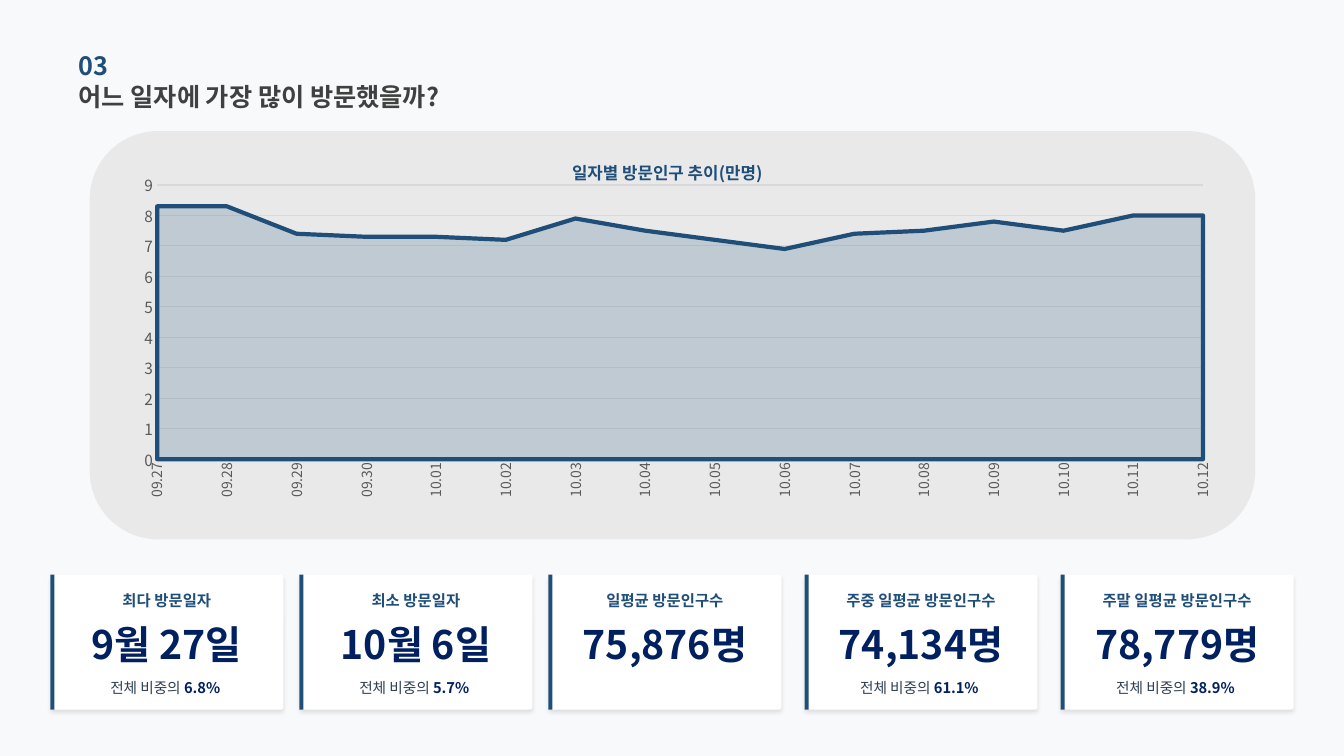
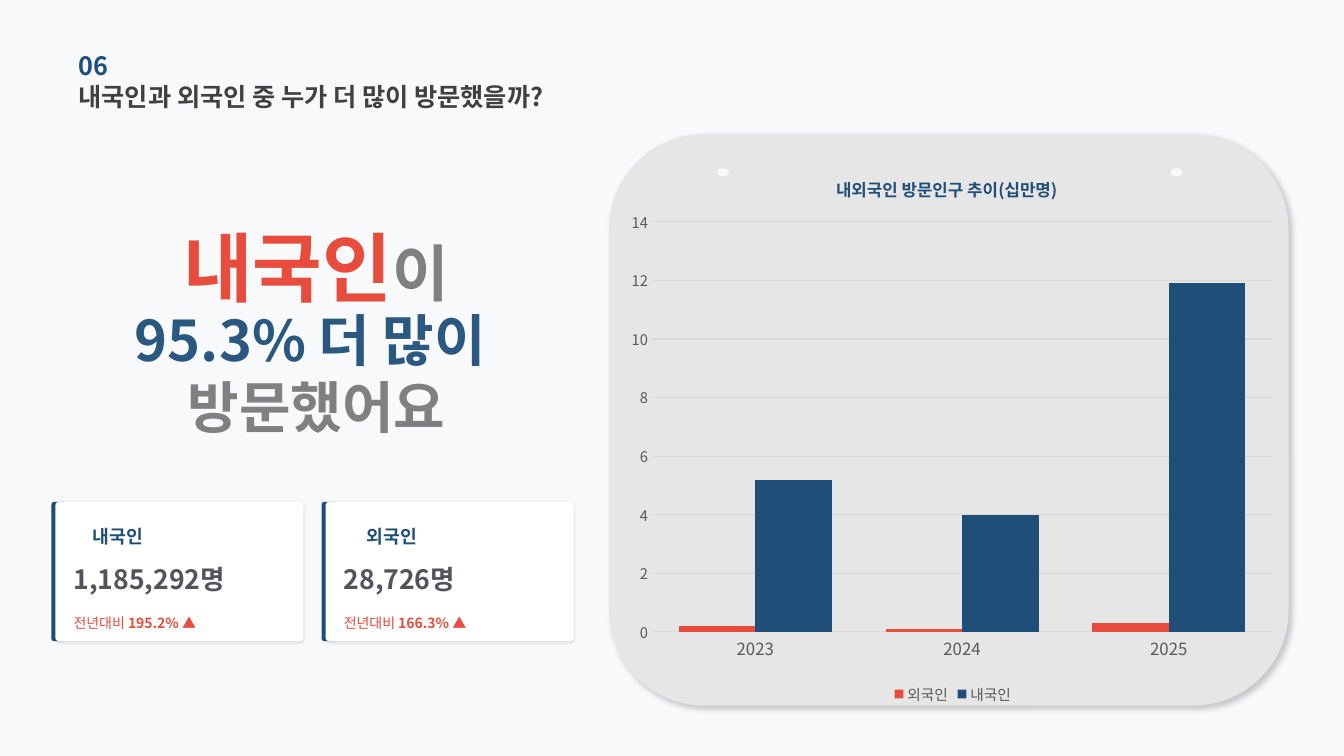
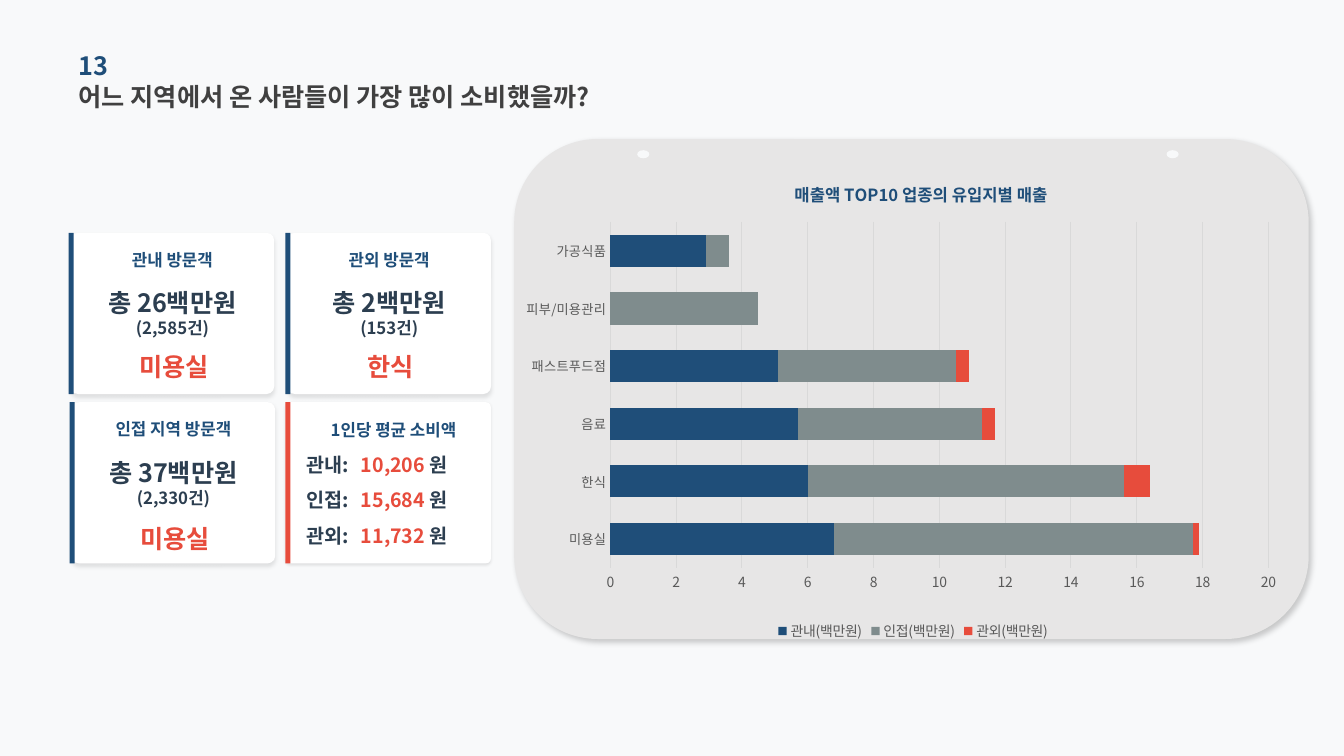
"""Build three festival-visitor report slides with headline cards and charts."""
from lxml import etree
from pptx import Presentation
from pptx.chart.data import CategoryChartData
from pptx.dml.color import RGBColor
from pptx.enum.chart import XL_CHART_TYPE, XL_LEGEND_POSITION, XL_TICK_MARK
from pptx.enum.shapes import MSO_SHAPE
from pptx.enum.text import MSO_ANCHOR, PP_ALIGN
from pptx.oxml.ns import qn
from pptx.util import Inches, Pt

FONT = "Noto Sans CJK KR"
BACKGROUND = RGBColor(0xF8, 0xF9, 0xFA)
WHITE = RGBColor(0xFF, 0xFF, 0xFF)
NAVY = RGBColor(0x1F, 0x4E, 0x79)
DEEP_NAVY = RGBColor(0x00, 0x20, 0x60)
STEEL = RGBColor(0x2B, 0x58, 0x80)
SLATE = RGBColor(0x2C, 0x3E, 0x50)
RED = RGBColor(0xE7, 0x4C, 0x3C)
CHARCOAL = RGBColor(0x40, 0x40, 0x40)
GRAPHITE = RGBColor(0x51, 0x54, 0x5A)
AXIS_GRAY = RGBColor(0x59, 0x59, 0x59)
GRAY = RGBColor(0x80, 0x80, 0x80)
TEAL_GRAY = RGBColor(0x7F, 0x8C, 0x8D)
GRID_GRAY = RGBColor(0xD9, 0xD9, 0xD9)
PANEL_GRAY = RGBColor(0xE7, 0xE6, 0xE6)
PANEL_DARK = RGBColor(0xD0, 0xCE, 0xCE)

ROUND = MSO_SHAPE.ROUNDED_RECTANGLE
RECTANGLE = MSO_SHAPE.RECTANGLE
OVAL = MSO_SHAPE.OVAL
LEFT, CENTER = PP_ALIGN.LEFT, PP_ALIGN.CENTER
MIDDLE = MSO_ANCHOR.MIDDLE
AREA = XL_CHART_TYPE.AREA
COLUMN = XL_CHART_TYPE.COLUMN_CLUSTERED
STACKED_BAR = XL_CHART_TYPE.BAR_STACKED
LEGEND_BOTTOM = XL_LEGEND_POSITION.BOTTOM
NO_TICK = XL_TICK_MARK.NONE

SOFT_SHADOW = dict(alpha=10, blur=3, distance=2, angle=90)
THIN_SHADOW = dict(alpha=10, blur=2, distance=1, angle=90)
PANEL_SHADOW = dict(alpha=20, blur=4, distance=3, angle=45)


def add_element(parent, tag, **attributes):
    """Append a namespaced XML child."""
    return etree.SubElement(parent, qn(tag), {k: str(v) for k, v in attributes.items()})


def set_font(font, size, color, bold=False):
    """Format a font for both Latin and Korean text."""
    font.size, font.bold, font.name = Pt(size), bold, FONT
    font.color.rgb = color
    add_element(font._element, "a:ea", typeface=FONT)


def set_alpha(fill_parent, percent):
    """Make the solid fill under an element partly transparent."""
    color = fill_parent.find(qn("a:solidFill"))[0]
    add_element(color, "a:alpha", val=percent * 1000)


def add_block(page, kind, at, color, corner=None, shadow=None, alpha=None):
    """Add a borderless filled shape."""
    block = page.shapes.add_shape(kind, *map(Inches, at))
    block.fill.solid()
    block.fill.fore_color.rgb = color
    block.line.fill.background()
    block.shadow.inherit = False
    properties = block._element.spPr
    if corner is not None:
        block.adjustments[0] = corner
    if alpha:
        set_alpha(properties, alpha)
    if shadow:
        effect = add_element(properties.find(qn("a:effectLst")), "a:outerShdw",
                             blurRad=Pt(shadow["blur"]), dist=Pt(shadow["distance"]),
                             dir=shadow["angle"] * 60000, algn="t", rotWithShape=0)
        tint = add_element(effect, "a:srgbClr", val="000000")
        add_element(tint, "a:alpha", val=shadow["alpha"] * 1000)
    return block


def add_text(page, at, text, size, color, bold=True, align=LEFT):
    """Add text given as a string or as paragraphs of (text, overrides) spans."""
    box = page.shapes.add_textbox(*map(Inches, at))
    frame = box.text_frame
    frame.word_wrap = True
    frame.vertical_anchor = MIDDLE
    frame.margin_left = frame.margin_right = frame.margin_top = frame.margin_bottom = 0
    paragraphs = [[(text, {})]] if isinstance(text, str) else text
    for index, spans in enumerate(paragraphs):
        para = frame.add_paragraph() if index else frame.paragraphs[0]
        para.alignment = align
        for words, overrides in spans:
            span = para.add_run()
            span.text = words
            set_font(span.font, **{"size": size, "color": color, "bold": bold, **overrides})


def add_page(deck, number, question):
    """Add a page with its background, section number and question."""
    page = deck.slides.add_slide(deck.slide_layouts[6])
    page.background.fill.solid()
    page.background.fill.fore_color.rgb = BACKGROUND
    add_text(page, (0.78, 0.75, 6, 0.41), question, 18, CHARCOAL)
    add_text(page, (0.78, 0.44, 4.52, 0.41), number, 18, NAVY)
    return page


def add_panel(page, at, pin_lefts, pin_top):
    """Add a chart panel with two pin holes."""
    add_block(page, ROUND, at, PANEL_GRAY, shadow=PANEL_SHADOW)
    for left in pin_lefts:
        add_block(page, OVAL, (left, pin_top, 0.12, 0.08), BACKGROUND)


def set_layout(parent, position, **values):
    """Give a chart part a manual layout as fractions of the chart."""
    for old in parent.findall(qn("c:layout")):
        parent.remove(old)
    layout = etree.Element(qn("c:layout"))
    parent.insert(position, layout)
    manual = add_element(layout, "c:manualLayout")
    if "w" in values:
        add_element(manual, "c:layoutTarget", val="inner")
    for side in "xy":
        add_element(manual, f"c:{side}Mode", val="edge")
    for name, value in values.items():
        add_element(manual, f"c:{name}", val=value)


def add_chart(page, kind, at, title, title_at, plot_at, categories, series,
              axis_sizes, top, step, legend_size=None):
    """Add a chart with the shared title, axis and legend style."""
    data = CategoryChartData()
    data.categories = categories
    for name, values, _ in series:
        data.add_series(name, values)
    chart = page.shapes.add_chart(kind, *map(Inches, at), data).chart
    set_font(chart.font, 10, AXIS_GRAY)
    chart.has_title = True
    para = chart.chart_title.text_frame.paragraphs[0]
    span = para.add_run()
    span.text = title
    set_font(span.font, 12, NAVY, bold=True)
    set_layout(chart.chart_title._element, 1, **dict(zip("xy", title_at)))
    set_layout(chart._chartSpace.chart.plotArea, 0, **dict(zip("xywh", plot_at)))
    chart.has_legend = legend_size is not None
    if chart.has_legend:
        chart.legend.position = LEGEND_BOTTOM
        chart.legend.include_in_layout = False
        set_font(chart.legend.font, legend_size, AXIS_GRAY)
    category, value = chart.category_axis, chart.value_axis
    for axis, size in zip((category, value), axis_sizes):
        axis.major_tick_mark = axis.minor_tick_mark = NO_TICK
        set_font(axis.tick_labels.font, size, AXIS_GRAY)
    category.has_major_gridlines = False
    category.format.line.color.rgb = GRID_GRAY
    category.format.line.width = Pt(0.75)
    value.minimum_scale, value.maximum_scale, value.major_unit = 0, top, step
    value.format.line.fill.background()
    value.has_major_gridlines = True
    value.major_gridlines.format.line.color.rgb = GRID_GRAY
    value.major_gridlines.format.line.width = Pt(0.75)
    chart.plots[0].vary_by_categories = False
    for item, (_, _, color) in zip(chart.plots[0].series, series):
        item.format.fill.solid()
        item.format.fill.fore_color.rgb = color
    return chart


def add_day_card(page, left, label, number, share):
    """Add a daily figure card with an accent bar."""
    top, width, height = 5.7, 2.31, 1.34
    add_block(page, ROUND, (left, top, width, height), WHITE, 0.018, SOFT_SHADOW)
    add_text(page, (left, top + 0.15, width, 0.22), label, 11, NAVY, align=CENTER)
    add_text(page, (left, top + 0.5, width, 0.38), number, 28, DEEP_NAVY, align=CENTER)
    if share:
        add_text(page, (left, top + 1.02, width, 0.21),
                 [[("전체 비중의 ", {}), (share + " ", {"color": DEEP_NAVY, "bold": True})]],
                 10.5, SLATE, bold=False, align=CENTER)
    add_block(page, RECTANGLE, (left, top, 0.04, height), NAVY)


def add_growth_card(page, left, label_left, label, number, growth):
    """Add a visitor card with its change on the year before."""
    top, height = 4.98, 1.38
    add_block(page, ROUND, (left, top, 0.15, height), NAVY)
    add_block(page, ROUND, (left + 0.04, top, 2.46, height), WHITE, 0.023, THIN_SHADOW)
    add_text(page, (label_left, top + 0.2, 0.8, 0.28), label, 13, NAVY)
    add_text(page, (left + 0.22, top + 0.57, 2.2, 0.39), number, 19, GRAPHITE)
    add_text(page, (left + 0.22, top + 0.97, 2.2, 0.45),
             [[("전년대비 ", {}), (growth + " ▲", {"bold": True})]], 10, RED, bold=False)


def add_spend_card(page, left, top, label, amount, count, favourite, favourite_top):
    """Add a spending card for one visitor group."""
    width, height = 2.02, 1.6
    add_block(page, ROUND, (left, top, width, height), WHITE, 0.048, SOFT_SHADOW)
    add_text(page, (left, top + 0.11, width, 0.31), label, 12, NAVY, align=CENTER)
    add_text(page, (left, top + 0.56, width, 0.47),
             [[(amount, {})], [(count, {"size": 12})]], 18, SLATE, align=CENTER)
    add_block(page, RECTANGLE, (left - 0.02, top, 0.05, height), NAVY)
    add_text(page, (left + 0.03, favourite_top, 1.99, 0.47), favourite, 18, RED, align=CENTER)


def add_average_card(page, left, top, averages):
    """Add the card that lists average spending per person."""
    add_block(page, ROUND, (left, top, 2.04, 1.6), WHITE, 0.032, THIN_SHADOW)
    add_text(page, (left + 0.45, top + 0.15, 1.5, 0.25), "1인당 평균 소비액", 12, NAVY)
    for row, (group, amount) in enumerate(averages):
        row_top = top + 0.47 + 0.35 * row
        add_text(page, (left + 0.21, row_top, 0.59, 0.3), group, 14, SLATE)
        add_text(page, (left + 0.75, row_top, 1.2, 0.3),
                 [[(amount + " ", {}), ("원", {"color": SLATE})]], 14, RED)
    add_block(page, RECTANGLE, (left, top, 0.05, 1.6), RED)


def build_daily(deck):
    """Build the daily visitor page."""
    page = add_page(deck, "03", "어느 일자에 가장 많이 방문했을까?")
    add_block(page, ROUND, (0.89, 1.3, 11.56, 4.05), PANEL_DARK, alpha=36)
    cards = [
        (0.5, "최다 방문일자", "9월 27일", "6.8%"),
        (2.97, "최소 방문일자", "10월 6일", "5.7%"),
        (5.44, "일평균 방문인구수", "75,876명", None),
        (7.98, "주중 일평균 방문인구수", "74,134명", "61.1%"),
        (10.52, "주말 일평균 방문인구수", "78,779명", "38.9%"),
    ]
    for card in cards:
        add_day_card(page, *card)
    days = [f"09.{day}" for day in range(27, 31)] + [f"10.{day:02}" for day in range(1, 13)]
    visitors = (8.3, 8.3, 7.4, 7.3, 7.3, 7.2, 7.9, 7.5, 7.2, 6.9, 7.4, 7.5, 7.8, 7.5, 8, 8)
    chart = add_chart(page, AREA, (1.08, 1.33, 11.13, 4.08), "일자별 방문인구 추이(만명)",
                      (0.41, 0.05), (0.043, 0.124, 0.932, 0.667), days,
                      [("Series 1", visitors, NAVY)], (10, 11), top=9, step=1)
    series = chart.plots[0].series[0]
    set_alpha(series._element.spPr, 20)
    series.format.line.color.rgb = NAVY
    series.format.line.width = Pt(3)
    chart.category_axis._element.txPr.bodyPr.set("rot", "-5400000")
    chart.value_axis._element.find(qn("c:crossBetween")).set("val", "midCat")


def build_origin(deck):
    """Build the domestic and foreign visitor page."""
    page = add_page(deck, "06", "내국인과 외국인 중 누가 더 많이 방문했을까?")
    add_panel(page, (6.04, 1.33, 6.74, 5.67), (7.11, 11.61), 1.67)
    add_text(page, (0.99, 2.4, 4.29, 0.48),
             [[("내국인", {}), ("이", {"size": 44, "color": GRAY})]], 54, RED, align=CENTER)
    add_text(page, (0.38, 3.28, 5.52, 0.84),
             [[("95.3% 더 많이 ", {})], [("방문했어요", {"color": GRAY})]],
             40, STEEL, align=CENTER)
    add_growth_card(page, 0.51, 0.92, "내국인", "1,185,292명", "195.2%")
    add_growth_card(page, 3.19, 3.64, "외국인", "28,726명", "166.3%")
    chart = add_chart(page, COLUMN, (6.15, 1.48, 6.6, 5.55), "내외국인 방문인구 추이(십만명)",
                      (0.32, 0.04), (0.048, 0.13, 0.932, 0.733), ("2023", "2024", "2025"),
                      [("외국인", (0.2, 0.1, 0.3), RED), ("내국인", (5.2, 4, 11.9), NAVY)],
                      (12, 10.5), top=14, step=2, legend_size=10.5)
    chart.plots[0].gap_width = 70
    chart.plots[0].overlap = 0


def build_spending(deck):
    """Build the spending by origin page."""
    page = add_page(deck, "13", "어느 지역에서 온 사람들이 가장 많이 소비했을까?")
    add_panel(page, (5.1, 1.38, 7.88, 4.96), (6.32, 11.57), 1.49)
    add_average_card(page, 2.83, 3.99,
                     [("관내:", "10,206"), ("인접:", "15,684"), ("관외:", "11,732")])
    add_spend_card(page, 0.7, 2.31, "관내 방문객", "총 26백만원", "(2,585건)", "미용실", 3.4)
    add_spend_card(page, 2.85, 2.31, "관외 방문객", "총 2백만원", "(153건)", "한식", 3.4)
    add_spend_card(page, 0.71, 3.99, "인접 지역 방문객", "총 37백만원", "(2,330건)", "미용실", 5.11)
    chart = add_chart(page, STACKED_BAR, (5.22, 1.56, 7.61, 4.84),
                      "매출액 TOP10 업종의 유입지별 매출",
                      (0.34, 0.04), (0.102, 0.133, 0.865, 0.709),
                      ("미용실", "한식", "음료", "패스트푸드점", "피부/미용관리", "가공식품"),
                      [("관내(백만원)", (6.8, 6, 5.7, 5.1, 0, 2.9), NAVY),
                       ("인접(백만원)", (10.9, 9.6, 5.6, 5.4, 4.5, 0.7), TEAL_GRAY),
                       ("관외(백만원)", (0.2, 0.8, 0.4, 0.4, 0, 0), RED)],
                      (9.5, 10), top=20, step=2, legend_size=10)
    chart.plots[0].gap_width = 80
    chart.plots[0].overlap = 100


def main():
    """Build and save the deck."""
    deck = Presentation()
    deck.slide_width, deck.slide_height = Inches(13.33), Inches(7.5)
    build_daily(deck)
    build_origin(deck)
    build_spending(deck)
    deck.save("out.pptx")


if __name__ == "__main__":
    main()
